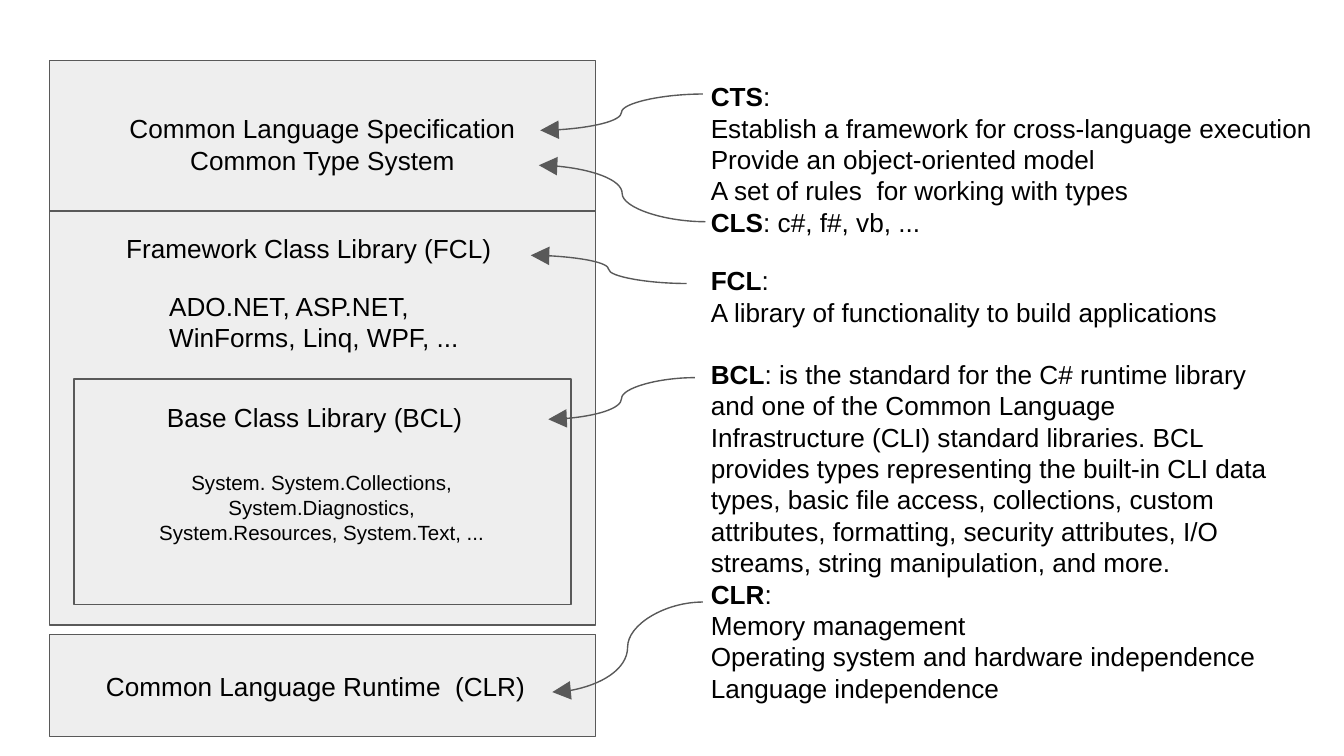
from pptx import Presentation, util as u
from pptx.dml.color import RGBColor
from pptx.enum import shapes, text
from pptx.oxml import ns, xmlchemy as xc

Inches, Pt = u.Inches, u.Pt
SLIDE_WIDTH = 10
SLIDE_HEIGHT = SLIDE_WIDTH * 9 / 16
COLORS = {"panel": "EEEEEE", "line": "595959", "text": "000000"}
CENTER = text.PP_ALIGN.CENTER
FRAME = {"word_wrap": True, "vertical_anchor": text.MSO_ANCHOR.TOP,
         **{f"margin_{side}": Inches(0.1)
            for side in ("left", "top", "right", "bottom")}}
ARROWHEAD = {"type": "triangle", "w": "lg", "len": "lg"}

# Panels: left, top, width, height
PANEL_LEFT, PANEL_WIDTH = 0.37, 4.06
PANELS = [
    (PANEL_LEFT, 0.45, PANEL_WIDTH, 1.12),
    (PANEL_LEFT, 1.57, PANEL_WIDTH, 3.08),
    (0.55, 2.82, 3.7, 1.68),
    (PANEL_LEFT, 4.72, PANEL_WIDTH, 0.76),
]

# Panel labels: box, lines, size, alignment
LABELS = [
    ((0.55, 0.74, 3.7, 0.5),
     ["Common Language Specification", "Common Type System"], 14, CENTER),
    ((0.84, 1.63, 3.11, 0.54), ["Framework Class Library (FCL)"], 14, None),
    ((1.16, 2.06, 2.48, 0.76),
     ["ADO.NET, ASP.NET,", "WinForms, Linq, WPF, ..."], 14, None),
    ((1.09, 2.89, 2.62, 0.5), [" Base Class Library (BCL)"], 14, None),
    ((0.93, 3.4, 2.93, 1.4),
     ["System. System.Collections, System.Diagnostics, "
      "System.Resources, System.Text, ..."], 11, CENTER),
    ((0.69, 4.89, 3.42, 0.5), ["Common Language Runtime  (CLR)"], 14, None),
]

# Notes: box, then lines; a (term, rest) pair has its term in bold
NOTE_LEFT = 5.19
NOTES = [
    ((NOTE_LEFT, 0.5, 4.72, 1.28), [
        ("CTS", ":"),
        "Establish a framework for cross-language execution",
        "Provide an object-oriented model",
        "A set of rules  for working with types",
        ("CLS", ": c#, f#, vb, ..."),
    ]),
    ((NOTE_LEFT, 1.87, 4.38, 1.28), [
        ("FCL", ":"),
        "A library of functionality to build applications",
        ("BCL", ": is the standard for the C# runtime library and one of the "
                "Common Language Infrastructure (CLI) standard libraries. BCL "
                "provides types representing the built-in CLI data types, "
                "basic file access, collections, custom attributes, "
                "formatting, security attributes, I/O streams, string "
                "manipulation, and more."),
    ]),
    ((NOTE_LEFT, 4.2, 4.38, 1.28), [
        ("CLR", ":"),
        "Memory management",
        "Operating system and hardware independence",
        "Language independence",
    ]),
]
GAP_BEFORE = {"BCL": Pt(16.5)}

# Arrows from a note to its panel: x1, y1, x2, y2
ARROWS = [
    (5.23, 0.7, 4.02, 0.97),
    (5.25, 1.65, 4.01, 1.23),
    (5.11, 2.11, 3.95, 1.9),
    (5.17, 2.81, 4.08, 3.12),
    (5.23, 4.48, 4.11, 5.15),
]


def rgb(name):
    return RGBColor.from_string(COLORS[name])


def set_line(line):
    line.color.rgb = rgb("line")
    line.width = Pt(0.75)


def add_panel(s, box):
    sp = s.shapes.add_shape(shapes.MSO_SHAPE.RECTANGLE, *map(Inches, box))
    sp.shadow.inherit = False
    sp.fill.solid()
    sp.fill.fore_color.rgb = rgb("panel")
    set_line(sp.line)


def add_run(p, words, size, bold=False):
    r = p.add_run()
    r.text = words
    for key, value in {"name": "Arial", "size": Pt(size), "bold": bold}.items():
        setattr(r.font, key, value)
    r.font.color.rgb = rgb("text")


def add_text(s, box, lines, size=14, align=None):
    tf = s.shapes.add_textbox(*map(Inches, box)).text_frame
    for key, value in FRAME.items():
        setattr(tf, key, value)
    for i, line in enumerate(lines):
        p = tf.add_paragraph() if i else tf.paragraphs[0]
        p.alignment = align
        if isinstance(line, tuple):
            term, line = line
            p.space_before = GAP_BEFORE.get(term)
            add_run(p, term, size, bold=True)
        add_run(p, line, size)


def add_arrow(s, ends):
    c = s.shapes.add_connector(shapes.MSO_CONNECTOR.CURVE, *map(Inches, ends))
    set_line(c.line)
    # Arrowhead at the end, and no shadow
    head = xc.OxmlElement("a:tailEnd")
    for key, value in ARROWHEAD.items():
        head.set(key, value)
    props = c.element.spPr
    props.find(ns.qn("a:ln")).append(head)
    props.append(xc.OxmlElement("a:effectLst"))


def main():
    prs = Presentation()
    prs.slide_width = Inches(SLIDE_WIDTH)
    prs.slide_height = Inches(SLIDE_HEIGHT)
    s = prs.slides.add_slide(prs.slide_layouts[6])

    # Layers of the framework
    for box in PANELS:
        add_panel(s, box)
    for label in LABELS:
        add_text(s, *label)

    # Explanations, joined to the layers
    for note in NOTES:
        add_text(s, *note)
    for ends in ARROWS:
        add_arrow(s, ends)

    prs.save("out.pptx")


if __name__ == "__main__":
    main()
